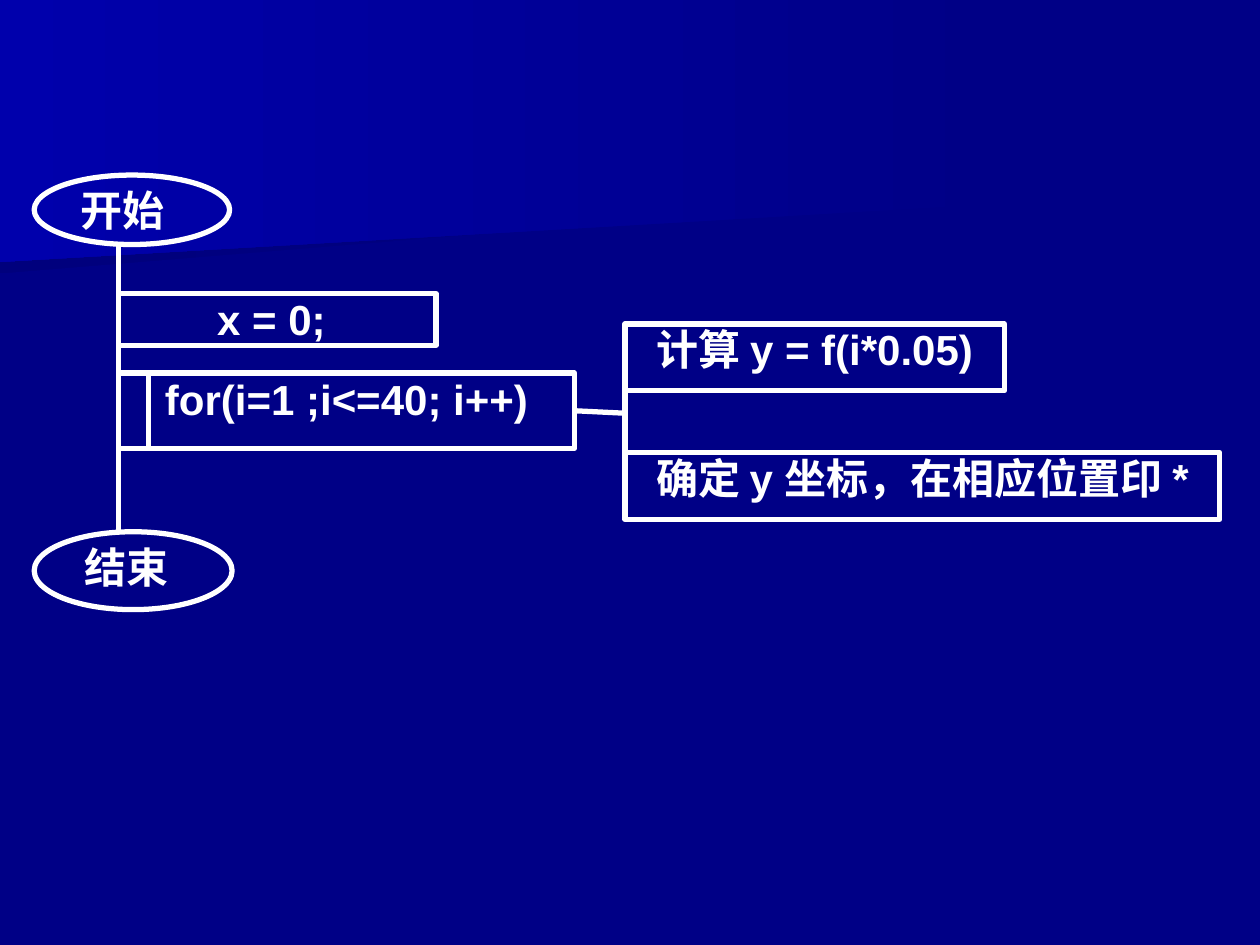
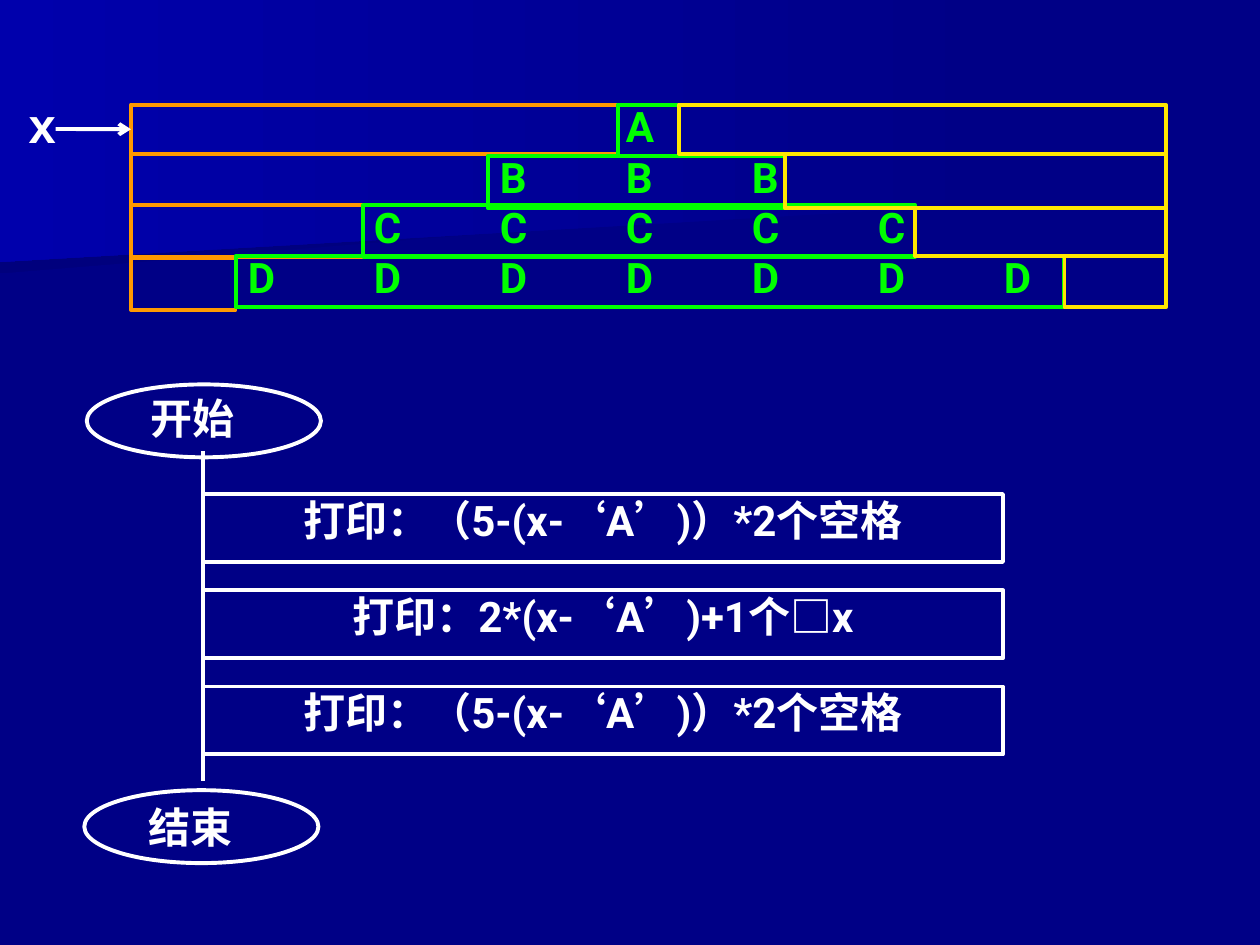
from dataclasses import dataclass

from lxml.etree import SubElement
from pptx import Presentation
from pptx.dml.color import RGBColor as RGB
from pptx.enum.shapes import MSO_CONNECTOR, MSO_SHAPE
from pptx.enum.text import MSO_ANCHOR, PP_ALIGN
from pptx.oxml.ns import qn
from pptx.util import Cm, Pt


@dataclass(frozen=True)
class Theme:
    back: RGB = RGB(0x00, 0x00, 0x86)
    shade: RGB = RGB(0x00, 0x00, 0x7D)
    glow: RGB = RGB(0x00, 0x00, 0xAC)
    white: RGB = RGB(0xFF, 0xFF, 0xFF)
    orange: RGB = RGB(0xFF, 0x99, 0x00)
    green: RGB = RGB(0x00, 0xFF, 0x00)
    yellow: RGB = RGB(0xFF, 0xE7, 0x01)
    body: int = 24
    large: int = 28
    thick: float = 3
    thin: float = 2.25


T = Theme()
BANDS = [
    (T.shade, [(19.76, 3.89), (0, 5.51), (0, 2.57), (19.79, 2.57), (19.76, 3.25)]),
    (T.glow, [(20.12, 4.11), (0, 5.28), (0, 0), (20.12, 0)]),
]


class Deck:
    """Holds the style in use and the slide being drawn."""

    def __init__(self):
        self.prs = Presentation()
        self.prs.slide_width, self.prs.slide_height = Cm(25.4), Cm(19.05)
        fill = self.prs.slide_master.background.fill
        fill.solid()
        fill.fore_color.rgb = T.back

    def new_slide(self, font, weight):
        self.font, self.weight = font, weight
        self.s = self.prs.slides.add_slide(self.prs.slide_layouts[6])
        for color, points in BANDS:
            self.band(color, points)

    def band(self, color, points):
        (x, y), *rest = [(Cm(px), Cm(py)) for px, py in points]
        builder = self.s.shapes.build_freeform(x, y)
        builder.add_line_segments(rest, close=True)
        sp = builder.convert_to_shape()
        sp.shadow.inherit = False
        sp.line.fill.background()
        sp.fill.gradient()
        sp.fill.gradient_angle = 180
        for stop, rgb in zip(sp.fill.gradient_stops, (T.back, color)):
            stop.color.rgb = rgb

    def style(self, p, color=T.white, size=T.body, align=PP_ALIGN.LEFT):
        p.alignment = align
        p.font.name, p.font.size, p.font.bold = self.font, Pt(size), True
        p.font.color.rgb = color

    def frame(self, sp, inset=(0, 0)):
        tf = sp.text_frame
        tf.word_wrap = True
        tf.vertical_anchor = MSO_ANCHOR.TOP
        tf.margin_left = tf.margin_right = Cm(inset[0])
        tf.margin_top = tf.margin_bottom = Cm(inset[1])
        return tf

    def outline(self, x, y, w, h, text="", color=T.white, kind=MSO_SHAPE.RECTANGLE):
        sp = self.s.shapes.add_shape(kind, Cm(x), Cm(y), Cm(w), Cm(h))
        sp.shadow.inherit = False
        sp.fill.background()
        sp.line.color.rgb = color
        sp.line.width = Pt(self.weight)
        if text:
            p = self.frame(sp).paragraphs[0]
            p.text = text
            self.style(p, align=PP_ALIGN.CENTER)
        return sp

    def label(self, x, y, w, h, text, inset=(0, 0), **style):
        tb = self.s.shapes.add_textbox(Cm(x), Cm(y), Cm(w), Cm(h))
        p = self.frame(tb, inset).paragraphs[0]
        p.text = text
        self.style(p, **style)

    def terminal(self, text, oval, text_box, align):
        self.label(*text_box, text, align=align)
        self.outline(*oval, kind=MSO_SHAPE.OVAL)

    def tabbed(self, x, y, w, h, lines, color):
        tb = self.s.shapes.add_textbox(Cm(x), Cm(y), Cm(w), Cm(h))
        tf = self.frame(tb, (0.25, 0.13))
        for i, line in enumerate(lines):
            p = tf.add_paragraph() if i else tf.paragraphs[0]
            p.text = line
            tabs = SubElement(p._p.get_or_add_pPr(), qn("a:tabLst"))
            for k in range(1, 8):
                SubElement(tabs, qn("a:tab"), pos=str(Cm(2.54 * k)), algn="l")
            self.style(p, color)

    def line(self, x1, y1, x2, y2, start=None, end=None, arrow=False):
        c = self.s.shapes.add_connector(
            MSO_CONNECTOR.STRAIGHT, Cm(x1), Cm(y1), Cm(x2), Cm(y2))
        c.line.color.rgb = T.white
        c.line.width = Pt(self.weight)
        if arrow:
            SubElement(c.line._get_or_add_ln(), qn("a:tailEnd"), type="arrow")
        SubElement(c._element.spPr, qn("a:effectLst"))
        if start:
            c.begin_connect(*start)
        if end:
            c.end_connect(*end)


def plot_chart(d):
    d.new_slide("Arial", T.thick)

    # Main flow
    spine, top = 2.39, 7.52
    d.line(spine, 4.93, spine, 10.72)
    d.outline(spine, 5.92, 6.4, 1.04, "x = 0; ")
    loop = d.outline(spine, top, 9.19, 1.52, "for(i=1 ;i<=40; i++)")
    d.line(3, top, 3, top + 1.52)
    d.terminal("开始", (0.69, 3.53, 3.94, 1.4), (1.63, 3.73, 2.01, 1.32), PP_ALIGN.LEFT)
    d.terminal("结束", (0.69, 10.72, 3.99, 1.57), (1.7, 10.92, 2.21, 1.07), PP_ALIGN.LEFT)

    # Loop body
    branch = 12.6
    d.line(11.58, 8.28, branch, 8.33, start=(loop, 3))
    d.line(branch, 6.53, branch, 10.41)
    d.outline(branch, 6.53, 7.65, 1.35, "计算 y = f(i*0.05)")
    d.outline(branch, 9.12, 11.99, 1.35, "确定 y 坐标，在相应位置印 *")


def triangle_chart(d):
    d.new_slide("Roboto", T.thin)

    # Letter triangle
    lines = ["\t" * (4 - i) + "\t".join([ch] * (2 * i + 1)) for i, ch in enumerate("ABCD")]
    d.tabbed(2.21, 1.9, 21.56, 4.32, lines, T.green)

    # Cells: blanks before, letters, blanks after
    left, right = 2.64, 23.5
    letters = [(12.45, 1.24), (9.83, 5.99), (7.32, 11.13), (4.75, 16.71)]
    before = [(2.11, 0.99), (3.1, 1.04), (4.14, 1.04), (5.21, 1.04)]
    middle = [(2.11, 1.04), (3.15, 1.04), (4.14, 1.04), (5.16, 1.04)]
    after = [(2.11, 0.99), (3.1, 1.09), (4.19, 0.97), (5.16, 1.04)]
    blanks = [d.outline(left, y, x - left, h, color=T.orange)
              for (x, _), (y, h) in zip(letters, before)]
    for (x, w), (y, h) in zip(letters, middle):
        d.outline(x, y, w, h, color=T.green)
    for (x, w), (y, h) in zip(letters, after):
        d.outline(x + w, y, right - x - w, h, color=T.yellow)

    # Row pointer
    d.font = "Arial"
    d.label(0.33, 1.78, 1.24, 1.45, "x", (0.25, 0.13), size=T.large)
    d.font = "Roboto"
    d.line(1.12, 2.6, left, 2.6, end=(blanks[0], 1), arrow=True)

    # Flow for one row
    spine = 4.09
    d.line(spine, 9.09, spine, 15.75)
    d.terminal("开始", (1.75, 7.75, 4.72, 1.47), (1.8, 7.92, 4.17, 1.02), PP_ALIGN.CENTER)
    d.terminal("结束", (1.7, 15.93, 4.72, 1.47), (1.75, 16.15, 4.17, 1.02), PP_ALIGN.CENTER)
    spaces = "打印：（5-(x-‘A’)）*2个空格"
    for i, text in enumerate([spaces, "打印：2*(x-‘A’)+1个□x", spaces]):
        d.outline(spine, 9.96 + 1.94 * i, 16.13, 1.37, text)


def main():
    d = Deck()
    plot_chart(d)
    triangle_chart(d)
    d.prs.save("out.pptx")


if __name__ == "__main__":
    main()
